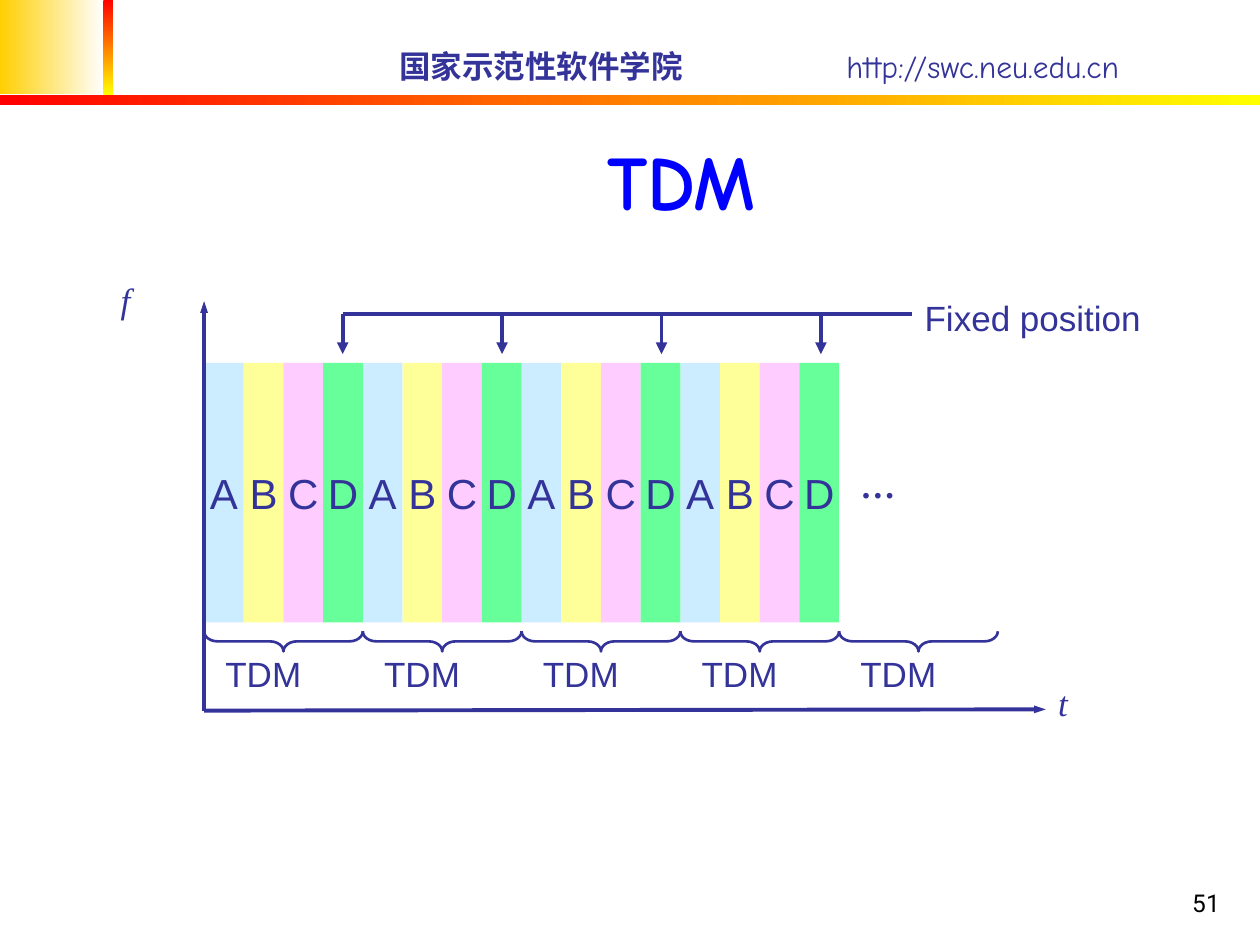
"""Build the TDM slide: time slots on a frequency-time chart."""
from dataclasses import dataclass

from lxml import etree
from pptx import Presentation
from pptx import util as u
from pptx.dml import color
from pptx.enum import shapes, text
from pptx.oxml import ns

INK = "333399"
SLOT, TOP, ORIGIN = 0.315, 2.88, 1.62
FRAME = 4 * SLOT
MID, BASE = text.MSO_ANCHOR.MIDDLE, text.MSO_ANCHOR.BOTTOM
CENTER, RIGHT = text.PP_ALIGN.CENTER, text.PP_ALIGN.RIGHT


@dataclass
class Box:
    """Place in inches."""
    x: float
    y: float
    w: float
    h: float

    def emu(self) -> list:
        """Give the four lengths."""
        return [u.Inches(n) for n in (self.x, self.y, self.w, self.h)]


@dataclass
class Style:
    """Look of a run."""
    size: float = 20
    face: str = "Arial"
    tint: str = INK
    bold: bool = False
    ital: bool = False


@dataclass
class User:
    """One channel of a frame."""
    name: str
    tint: str


@dataclass
class Band:
    """Gradient block of the header."""
    box: Box
    start: str
    end: str
    angle: int


def paint(target, tint: str) -> None:
    """Set a colour from a hex string."""
    target.rgb = color.RGBColor.from_string(tint)


def child(node, tag: str, **attrs: str):
    """Add an XML child."""
    return etree.SubElement(node, ns.qn(tag), attrs)


def write(para, words: str, style: Style) -> None:
    """Add one run."""
    run = para.add_run()
    run.text = words
    font = run.font
    font.size, font.name = u.Pt(style.size), style.face
    font.bold, font.italic = style.bold, style.ital
    paint(font.color, style.tint)


def label(page, box: Box, words: str, style: Style, space: float = 0.9) -> None:
    """Add a text box that fits its words."""
    frame = page.shapes.add_textbox(*box.emu()).text_frame
    frame.word_wrap = False
    frame.auto_size = text.MSO_AUTO_SIZE.SHAPE_TO_FIT_TEXT
    para = frame.paragraphs[0]
    para.line_spacing = space
    write(para, words, style)


def block(page, kind, box: Box):
    """Add a preset shape with no line."""
    shape = page.shapes.add_shape(kind, *box.emu())
    shape.shadow.inherit = False
    shape.line.fill.background()
    return shape


def band(page, item: Band) -> None:
    """Add a gradient block."""
    fill = block(page, shapes.MSO_SHAPE.RECTANGLE, item.box).fill
    fill.gradient()
    fill.gradient_angle = item.angle
    for stop, tint in zip(fill.gradient_stops, (item.start, item.end)):
        paint(stop.color, tint)


def slot(page, x: float, user: User) -> None:
    """Add one time slot."""
    shape = block(page, shapes.MSO_SHAPE.RECTANGLE, Box(x, TOP, SLOT, 2.06))
    shape.fill.solid()
    paint(shape.fill.fore_color, user.tint)
    frame = shape.text_frame
    frame.word_wrap, frame.vertical_anchor = False, MID
    para = frame.paragraphs[0]
    para.alignment = CENTER
    write(para, user.name, Style(24))


def brace(page, mid: float) -> None:
    """Add a brace under a frame."""
    shape = block(page, shapes.MSO_SHAPE.LEFT_BRACE,
                  Box(mid - 0.08, 4.46, 0.16, FRAME))
    shape.rotation = 270
    shape.adjustments[0] = 0.67
    shape.fill.background()
    shape.line.width = u.Pt(1.5)
    shape.line.fill.solid()
    paint(shape.line.color, INK)


def line(page, x1: float, y1: float, x2: float, y2: float, head: str = "") -> None:
    """Add a line, with an arrowhead of the given width."""
    ends = [u.Inches(n) for n in (x1, y1, x2, y2)]
    link = page.shapes.add_connector(shapes.MSO_CONNECTOR.STRAIGHT, *ends)
    link.line.width = u.Pt(2.25)
    paint(link.line.color, INK)
    props = link._element.spPr
    if head:
        child(props.find(ns.qn("a:ln")), "a:tailEnd", type="triangle", w=head)
    child(props, "a:effectLst")


def header(page) -> None:
    """Draw the bands and the school line."""
    for item in (
        Band(Box(0, 0, 0.83, 0.75), "FFCF01", "FFFFFF", 0),
        Band(Box(0.82, 0, 0.08, 0.75), "FF0000", "FFFF00", 270),
        Band(Box(0, 0.75, 10, 0.08), "FF0000", "FFFF00", 0),
    ):
        band(page, item)
    frame = page.shapes.add_textbox(*Box(3.07, 0.32, 6.7, 0.4).emu()).text_frame
    frame.word_wrap, frame.vertical_anchor = True, MID
    para = frame.paragraphs[0]
    tabs = child(para._p.get_or_add_pPr(), "a:tabLst")
    child(tabs, "a:tab", pos=str(u.Inches(3.55)), algn="l")
    write(para, "国家示范性软件学院\t", Style(18, "Comic Neue", bold=True))
    write(para, "http://swc.neu.edu.cn", Style(18, "Comic Neue"))


def titles(page) -> None:
    """Fill the title and the page number."""
    title = page.shapes.title
    title.left, title.top, title.width, title.height = Box(1.26, 0.92, 8.52, 0.92).emu()
    number = page.shapes.add_textbox(*Box(7.7, 6.83, 2.08, 0.5).emu())
    for shape, words, side, style in (
        (title, "TDM ", CENTER, Style(44, "Comic Neue", "0000FF", True)),
        (number, "51", RIGHT, Style(14, "Roboto", "000000")),
    ):
        frame = shape.text_frame
        frame.auto_size = text.MSO_AUTO_SIZE.NONE
        frame.word_wrap, frame.vertical_anchor = True, BASE
        para = frame.paragraphs[0]
        para.alignment = side
        write(para, words, style)


def chart(page) -> None:
    """Draw the axes, slots, braces and arrows."""
    users = (User("A", "CCECFF"), User("B", "FFFF99"),
             User("C", "FFCCFF"), User("D", "66FF99"))
    axis = Style(face="Times New Roman", ital=True)
    line(page, ORIGIN, 5.64, 8.3, 5.63, "sm")
    label(page, Box(0.86, 2.2, 0.28, 0.4), "f", axis)
    label(page, Box(8.3, 5.4, 0.28, 0.4), "t", axis)
    for group, turns in (((1, 2), range(3)), ((0,), range(4)),
                         ((1, 2), range(3, 4)), ((3,), range(4))):
        for turn in turns:
            for n in group:
                slot(page, ORIGIN + turn * FRAME + n * SLOT, users[n])
    label(page, Box(7.24, 2.34, 1.93, 0.4), "Fixed position", Style())
    line(page, 2.72, 2.49, 7.24, 2.49)
    for n in range(4):
        x = 2.72 + n * 1.265
        line(page, x, 2.49, x, 2.81, "med")
    for n in range(5):
        left = ORIGIN + n * FRAME
        label(page, Box(left + 0.07, 5.17, 0.81, 0.4), "TDM", Style())
        brace(page, left + FRAME / 2)
    label(page, Box(6.73, 3.63, 0.48, 0.43), "…",
          Style(face="Times New Roman", bold=True), 1.0)
    line(page, ORIGIN, 5.64, ORIGIN, 2.39, "sm")


def main() -> None:
    """Build and save the deck."""
    deck = Presentation()
    deck.slide_width, deck.slide_height = u.Inches(10), u.Inches(7.5)
    page = deck.slides.add_slide(deck.slide_layouts[5])
    header(page)
    titles(page)
    chart(page)
    deck.save("out.pptx")


if __name__ == "__main__":
    main()
